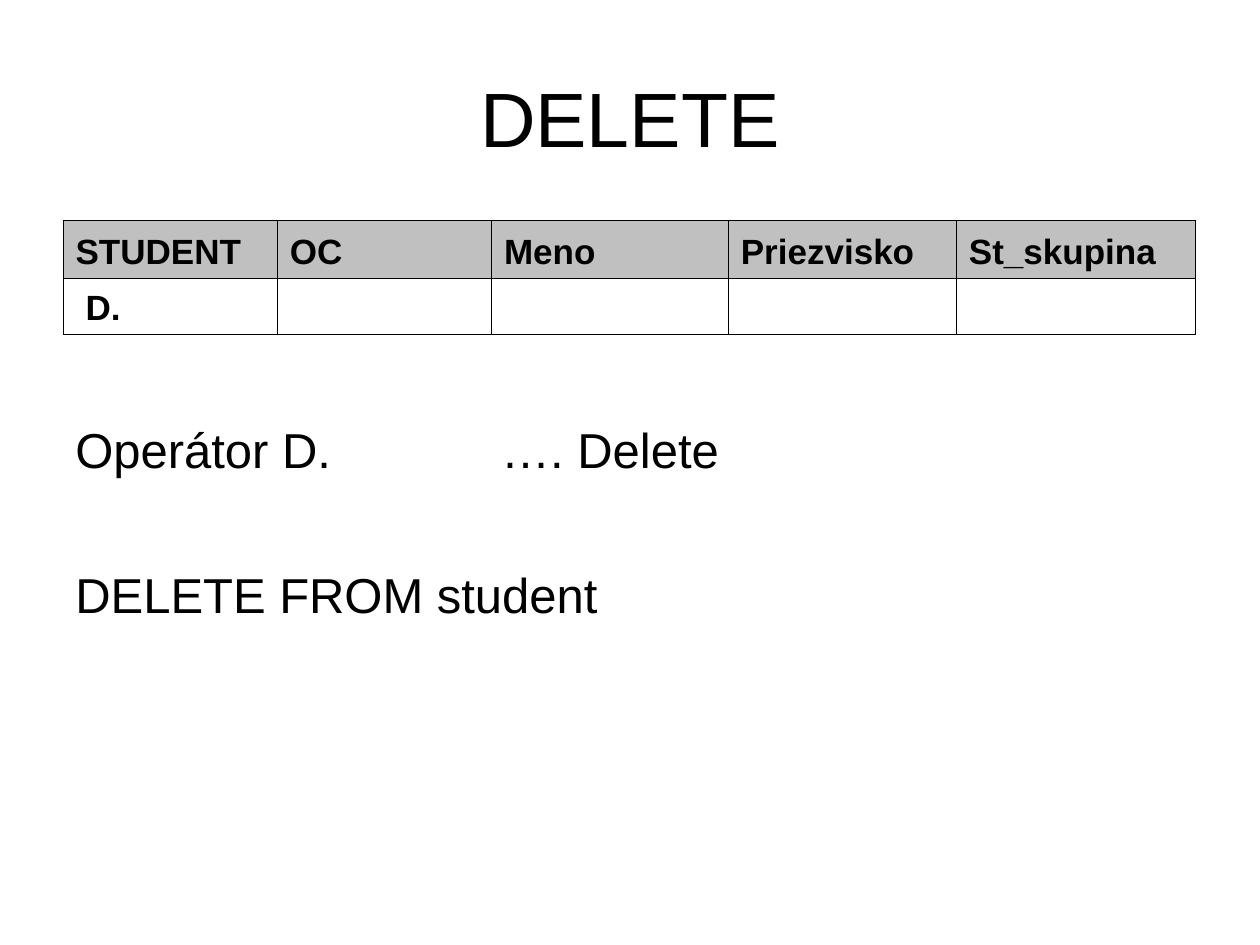
from pptx import Presentation
from pptx.dml.color import RGBColor
from pptx.enum.text import MSO_ANCHOR, PP_ALIGN
from pptx.oxml import parse_xml
from pptx.oxml.ns import nsdecls
from pptx.util import Inches, Pt

BLACK = RGBColor(0x00, 0x00, 0x00)
GREY = RGBColor(0xC0, 0xC0, 0xC0)
LEFT, WIDTH = Inches(0.5), Inches(9)


def style(p, size, bold=False):
    p.font.name = "Arial"
    p.font.size = Pt(size)
    p.font.bold = bold
    p.font.color.rgb = BLACK


def set_borders(cell, **widths):
    tcPr = cell._tc.get_or_add_tcPr()
    for i, side in enumerate("LRTB"):
        width = Pt(widths.get(side, 0.45))
        tcPr.insert(i, parse_xml(
            f'<a:ln{side} {nsdecls("a")} w="{width}"><a:solidFill>'
            f'<a:srgbClr val="{BLACK}"/></a:solidFill></a:ln{side}>'))


prs = Presentation()
prs.slide_width, prs.slide_height = Inches(10), Inches(7.5)
s = prs.slides.add_slide(prs.slide_layouts[6])

# Title
tf = s.shapes.add_textbox(LEFT, Inches(0.3), WIDTH, Inches(1.25)).text_frame
tf.word_wrap = True
tf.vertical_anchor = MSO_ANCHOR.MIDDLE
p = tf.paragraphs[0]
p.text = "DELETE"
p.alignment = PP_ALIGN.CENTER
style(p, 44)

# Query table: grey header row above one operator row
rows = [["STUDENT", "OC", "Meno", "Priezvisko", "St_skupina"],
        ["D.", "", "", "", ""]]
col_widths = [1.7, 1.7, 1.88, 1.81, 1.9]
row_heights = [0.46, 0.44]
table = s.shapes.add_table(len(rows), len(col_widths), LEFT, Inches(1.75),
                           Inches(sum(col_widths)),
                           Inches(sum(row_heights))).table
table.first_row = table.horz_banding = False
for column, width in zip(table.columns, col_widths):
    column.width = Inches(width)
for r, (row, height) in enumerate(zip(rows, row_heights)):
    table.rows[r].height = Inches(height)
    for c, text in enumerate(row):
        cell = table.cell(r, c)
        cell.vertical_anchor = MSO_ANCHOR.BOTTOM
        cell.text = text
        style(cell.text_frame.paragraphs[0], 20, bold=True)
        if r == 0:
            cell.fill.solid()
            cell.fill.fore_color.rgb = GREY
            set_borders(cell, B=0.96)
        else:
            cell.fill.background()
            set_borders(cell, T=0.96)
table.cell(1, 0).margin_left = Inches(0.18)

# Operator explanation and the matching statement
tf = s.shapes.add_textbox(LEFT, Inches(3.28), WIDTH, Inches(3.78)).text_frame
tf.word_wrap = True
p = tf.paragraphs[0]
p.text = "Operátor D.\t…. Delete"
p._p.get_or_add_pPr().append(parse_xml(
    f'<a:tabLst {nsdecls("a")}><a:tab pos="{Inches(3.38)}" algn="l"/></a:tabLst>'))
style(p, 28)
p = tf.add_paragraph()
p.text = "DELETE FROM student"
p.space_before = Pt(49)
style(p, 28)

prs.save("out.pptx")
